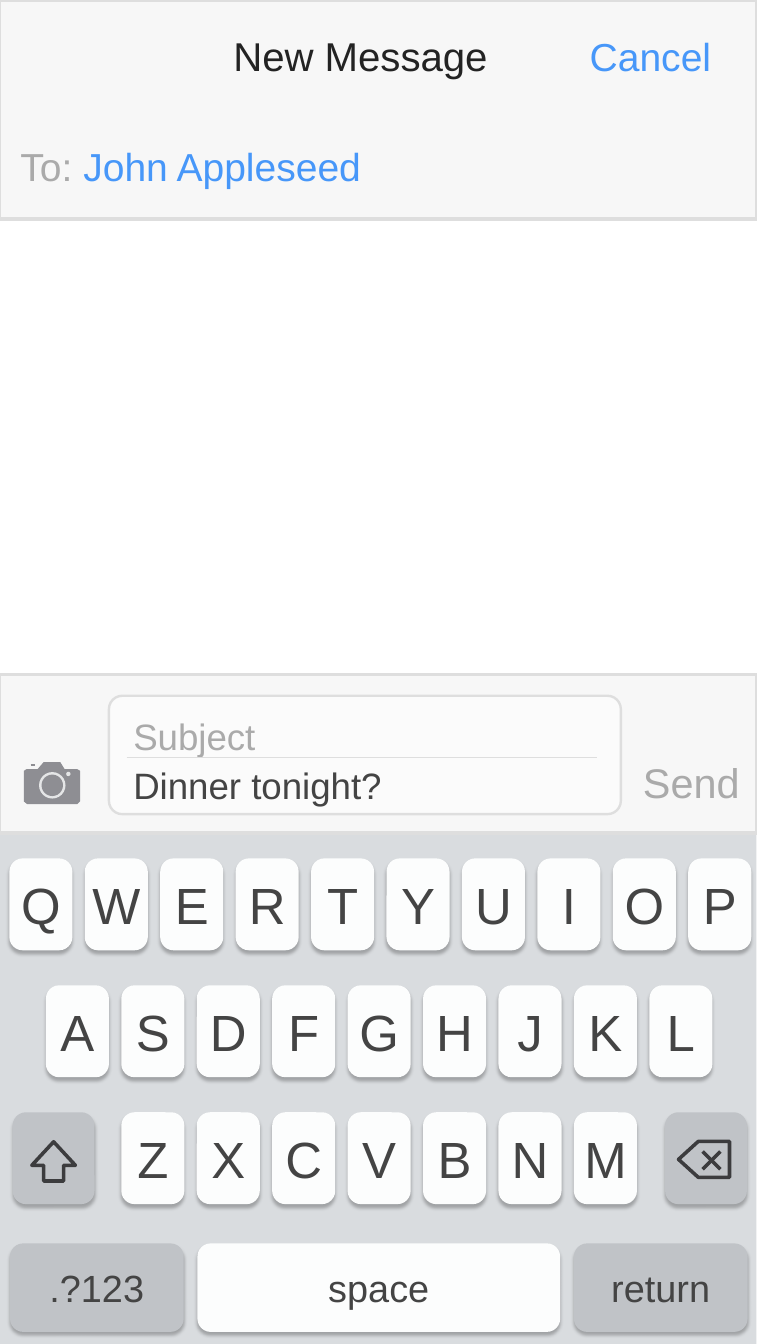
"""Build a phone mock-up slide: a message being composed above a keyboard."""
import pptx
import pptx.dml.color
import pptx.enum.shapes
import pptx.enum.text
import pptx.oxml
import pptx.oxml.ns
import pptx.util

Cm, Pt = pptx.util.Cm, pptx.util.Pt
SHAPE = pptx.enum.shapes.MSO_SHAPE
ALIGN = pptx.enum.text.PP_ALIGN
ANCHOR = pptx.enum.text.MSO_ANCHOR

THEME = {
    "font": "Arial",
    "colors": {
        "bar": "F7F7F7", "border": "DEDEDE", "field": "FBFBFB", "board": "D9DCDF",
        "key": "FCFDFD", "modifier": "C0C3C7", "icon": "3C3C3E", "camera": "8E8E93",
        "lens": "E5E6E7", "title": "232323", "link": "4797F9", "hint": "AAAAAA",
        "body": "444444",
    },
    "sizes": {"header": 33, "title": 34, "field": 31, "send": 35, "letter": 43, "word": 32},
}

SLIDE = (22.58, 40.08)
BOARD = (-0.15, 24.84, 22.71, 15.27)
HEADER = (-0.03, 0, 22.61, 6.53)
COMPOSER = (-0.03, 20.12, 22.61, 4.72)
FIELD = (3.25, 20.75, 15.27, 3.53)
SEND = (19.08, 22.5, 3.12, 1.63)

HEADER_LINES = [
    [("\tNew Message", "title", "title"), ("\tCancel", "link", "header")],
    [("To: ", "hint", "header"), ("John Appleseed", "link", "header")],
]
HEADER_TABS = (6.35, 16.98)
FIELD_LINES = [[("Subject", "hint", "field")], [("Dinner tonight?", "body", "field")]]
FIELD_RULE = (3.78, 22.58, 17.81, 22.58)

LETTER_ROWS = [("QWERTYUIOP", 0.28), ("ASDFGHJKL", 1.37), ("ZXCVBNM", 3.62)]
KEY_W, KEY_H, KEY_STEP = 1.88, 2.74, 2.25
ROW_TOP, ROW_STEP = 25.6, 3.785
BOTTOM_ROW = [(".?123", 5.18, "modifier"), ("space", 10.82, "key"), ("return", 5.18, "modifier")]
BOTTOM_LEFT, BOTTOM_TOP, BOTTOM_H, BOTTOM_GAP = 0.3, 37.08, 2.64, 0.41
SIDE_KEYS, SIDE_W = (0.38, 19.84), 2.44
ICONS = [
    (SHAPE.UP_ARROW, (0.95, 34.05, 1.3, 1.17), (0.456, 0.6)),
    (SHAPE.LEFT_ARROW, (20.24, 34.04, 1.52, 1.07), (1, 0.55)),
]
CROSS = [(21.49, 34.34, 20.96, 34.87), (20.96, 34.34, 21.49, 34.87)]

CAMERA_BODY = [
    (0.71, 23.9), (0.71, 22.99), (0.79, 22.94), (1.12, 22.94), (1.3, 22.73), (1.8, 22.73),
    (1.93, 22.94), (2.31, 22.94), (2.39, 22.99), (2.39, 23.9), (2.31, 23.98), (0.81, 23.98),
]
CAMERA_BUTTON = (0.91, 22.81, 1.04, 22.81)
CAMERA_DISCS = [(2.04, 23.08, 0.13, "lens"), (1.56, 23.42, 0.79, "lens"),
                (1.56, 23.42, 0.64, "camera")]


def rgb(name):
    return pptx.dml.color.RGBColor.from_string(THEME["colors"][name])


def paint(sp, fill=None, line=None, width=3):
    sp.shadow.inherit = False
    if fill:
        sp.fill.solid()
        sp.fill.fore_color.rgb = rgb(fill)
    else:
        sp.fill.background()
    if line:
        sp.line.color.rgb = rgb(line)
        sp.line.width = Pt(width)
    else:
        sp.line.fill.background()


def add_box(shapes, kind, box, fill=None, line=None, width=3, adj=()):
    sp = shapes.add_shape(kind, *map(Cm, box))
    paint(sp, fill, line, width)
    for i, value in enumerate(adj):
        sp.adjustments[i] = value
    return sp


def add_line(shapes, ends, color, width):
    ln = shapes.add_connector(pptx.enum.shapes.MSO_CONNECTOR.STRAIGHT, *map(Cm, ends))
    ln.line.color.rgb = rgb(color)
    ln.line.width = Pt(width)
    pptx.oxml.ns.qn("a:effectLst")
    ln._element.spPr.append(pptx.oxml.parse_xml(
        f'<a:effectLst {pptx.oxml.ns.nsdecls("a")}/>'))


def write(sp, lines, margins, anchor=ANCHOR.TOP, align=ALIGN.LEFT, spacing=1.0,
          before=0, tabs=(), wrap=True):
    tf = sp.text_frame
    left, top, right, bottom = map(Cm, margins)
    frame = {"margin_left": left, "margin_top": top, "margin_right": right,
             "margin_bottom": bottom, "vertical_anchor": anchor, "word_wrap": wrap}
    for name, value in frame.items():
        setattr(tf, name, value)
    for i, runs in enumerate(lines):
        p = tf.add_paragraph() if i else tf.paragraphs[0]
        if tabs and not i:
            stops = "".join(f'<a:tab pos="{Cm(t)}" algn="l"/>' for t in tabs)
            p._p.get_or_add_pPr().append(pptx.oxml.parse_xml(
                f'<a:tabLst {pptx.oxml.ns.nsdecls("a")}>{stops}</a:tabLst>'))
        p.alignment, p.line_spacing = align, spacing
        if i and before:
            p.space_before = Pt(before)
        for text, color, size in runs:
            r = p.add_run()
            r.text = text
            r.font.color.rgb = rgb(color)
            for name, value in {"name": THEME["font"],
                                "size": Pt(THEME["sizes"][size])}.items():
                setattr(r.font, name, value)


def add_key(shapes, box, fill, adj, text="", size="letter"):
    sp = add_box(shapes, SHAPE.ROUNDED_RECTANGLE, box, fill, adj=(adj,))
    effects = sp._element.spPr.find(pptx.oxml.ns.qn("a:effectLst"))
    effects.append(pptx.oxml.parse_xml(
        f'<a:outerShdw {pptx.oxml.ns.nsdecls("a")} blurRad="{Pt(3)}" dist="{Pt(3)}" '
        'dir="5400000" rotWithShape="0"><a:srgbClr val="000000">'
        '<a:alpha val="25000"/></a:srgbClr></a:outerShdw>'))
    if text:
        write(sp, [[(text, "body", size)]], (0, 0, 0, 0), ANCHOR.MIDDLE, ALIGN.CENTER)


def add_camera(shapes):
    group = shapes.add_group_shape().shapes
    points = [(Cm(x), Cm(y)) for x, y in CAMERA_BODY]
    outline = group.build_freeform(*points[0])
    outline.add_line_segments(points[1:])
    paint(outline.convert_to_shape(), "camera")
    add_line(group, CAMERA_BUTTON, "camera", 2)
    for x, y, d, fill in CAMERA_DISCS:
        add_box(group, SHAPE.OVAL, (x - d / 2, y - d / 2, d, d), fill)


def add_message(shapes):
    header = add_box(shapes, SHAPE.RECTANGLE, HEADER, "bar", "border")
    write(header, HEADER_LINES, (0.64,) * 4, spacing=1.2, before=45.5, tabs=HEADER_TABS)
    add_box(shapes, SHAPE.RECTANGLE, COMPOSER, "bar", "border")
    add_camera(shapes)
    field = add_box(shapes, SHAPE.ROUNDED_RECTANGLE, FIELD, "field", "border", 2, (0.113,))
    write(field, FIELD_LINES, (0.61, 0.3, 0.3, 0.3), spacing=1.1)
    add_line(shapes, FIELD_RULE, "border", 1)
    send = shapes.add_textbox(*map(Cm, SEND))
    write(send, [[("Send", "hint", "send")]], (0.1,) * 4, ANCHOR.MIDDLE, wrap=False)


def add_keyboard(shapes):
    for row, (letters, left) in enumerate(LETTER_ROWS):
        for col, letter in enumerate(letters):
            box = (left + col * KEY_STEP, ROW_TOP + row * ROW_STEP, KEY_W, KEY_H)
            add_key(shapes, box, "key", 0.21, letter)
    left = BOTTOM_LEFT
    for text, width, fill in BOTTOM_ROW:
        add_key(shapes, (left, BOTTOM_TOP, width, BOTTOM_H), fill, 0.149, text, "word")
        left += width + BOTTOM_GAP
    for left in SIDE_KEYS:
        add_key(shapes, (left, ROW_TOP + 2 * ROW_STEP, SIDE_W, KEY_H), "modifier", 0.162)
    for kind, box, adj in ICONS:
        add_box(shapes, kind, box, line="icon", adj=adj)
    for ends in CROSS:
        add_line(shapes, ends, "icon", 3)


def main():
    prs = pptx.Presentation()
    prs.slide_width, prs.slide_height = map(Cm, SLIDE)
    s = prs.slides.add_slide(prs.slide_layouts[6])
    add_box(s.shapes, SHAPE.RECTANGLE, BOARD, "board")
    add_message(s.shapes)
    add_keyboard(s.shapes)
    prs.save("out.pptx")


if __name__ == "__main__":
    main()
